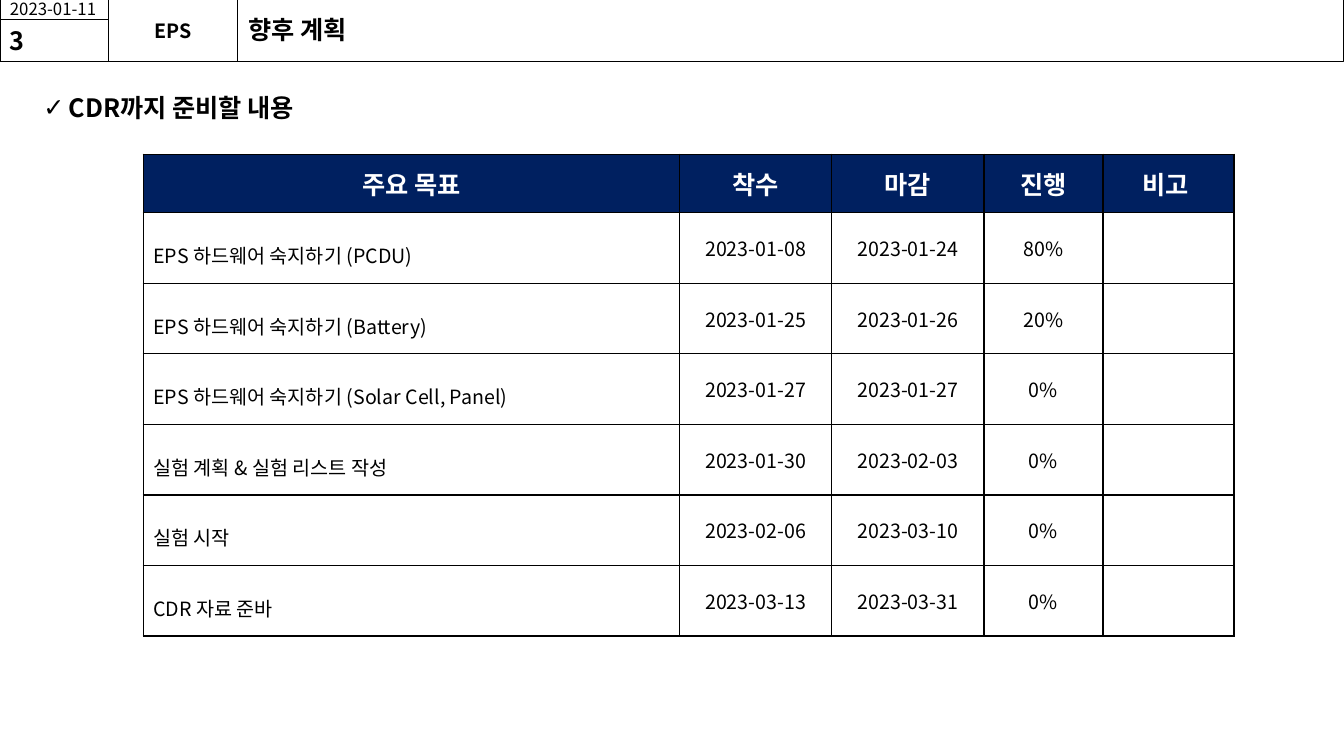
from dataclasses import dataclass
from typing import Optional

from lxml.etree import SubElement
from pptx import Presentation
from pptx.dml.color import RGBColor
from pptx.enum.shapes import MSO_SHAPE
from pptx.enum.text import MSO_ANCHOR, MSO_AUTO_SIZE, PP_ALIGN
from pptx.oxml.ns import qn
from pptx.util import Inches, Pt

FONT = "Noto Sans CJK KR"
BLACK = RGBColor(0x00, 0x00, 0x00)
WHITE = RGBColor(0xFF, 0xFF, 0xFF)
NAVY = RGBColor(0x00, 0x20, 0x60)


@dataclass
class HeaderBox:
    left: float
    top: float
    width: float
    height: float
    text: str = ""
    size: int = 18
    bold: bool = True
    centered: bool = False


@dataclass
class Goal:
    name: str
    start: str
    end: str
    progress: str
    remark: str = ""


HEADER_BOXES = [
    HeaderBox(2.36, -0.01, 10.97, 0.62),
    HeaderBox(0, -0.01, 1.08, 0.2, "2023-01-11", size=12, bold=False),
    HeaderBox(1.08, -0.01, 1.28, 0.62, "EPS", size=14, centered=True),
    HeaderBox(0, 0.19, 1.08, 0.42, "3"),
]
COLUMN_TITLES = ["주요 목표", "착수", "마감", "진행", "비고 "]
COLUMN_WIDTHS = [5.32, 1.51, 1.51, 1.18, 1.3]
HEAD_HEIGHT, ROW_HEIGHT = 0.58, 0.7
GOALS = [
    Goal("EPS 하드웨어 숙지하기 (PCDU)", "2023-01-08", "2023-01-24", "80%"),
    Goal("EPS 하드웨어 숙지하기 (Battery)", "2023-01-25", "2023-01-26", "20%"),
    Goal("EPS 하드웨어 숙지하기 (Solar Cell, Panel)", "2023-01-27", "2023-01-27", "0%"),
    Goal("실험 계획 & 실험 리스트 작성", "2023-01-30", "2023-02-03", "0%"),
    Goal("실험 시작", "2023-02-06", "2023-03-10", "0%"),
    Goal("CDR 자료 준바", "2023-03-13", "2023-03-31", "0%"),
]


def place(shape, left: float, top: float, width: float, height: float) -> None:
    shape.left, shape.top = Inches(left), Inches(top)
    shape.width, shape.height = Inches(width), Inches(height)


def write(text_frame, text: str, size: int, bold: bool = True,
          color: RGBColor = BLACK, align: PP_ALIGN = PP_ALIGN.LEFT,
          line_spacing: Optional[float] = None) -> None:
    """Set one formatted paragraph."""
    text_frame.text = text
    paragraph = text_frame.paragraphs[0]
    paragraph.alignment = align
    paragraph.space_before = Pt(0)
    if line_spacing:
        paragraph.line_spacing = line_spacing
    for run in paragraph.runs:
        run.font.size = Pt(size)
        run.font.bold = bold
        run.font.color.rgb = color
        run.font.name = FONT
        SubElement(run.font._element, qn("a:ea"), typeface=FONT)


def add_header_box(slide, box: HeaderBox) -> None:
    shape = slide.shapes.add_shape(
        MSO_SHAPE.RECTANGLE, Inches(box.left), Inches(box.top),
        Inches(box.width), Inches(box.height))
    shape.shadow.inherit = False
    shape.fill.background()
    shape.line.color.rgb = BLACK
    shape.line.width = Pt(0.75)
    if not box.text:
        return
    text_frame = shape.text_frame
    text_frame.vertical_anchor = MSO_ANCHOR.MIDDLE
    if box.centered:
        text_frame.margin_left = text_frame.margin_right = 0
        text_frame.margin_top = text_frame.margin_bottom = 0
    write(text_frame, box.text, box.size, box.bold,
          align=PP_ALIGN.CENTER if box.centered else PP_ALIGN.LEFT)


def format_cell(cell, fill: RGBColor) -> None:
    properties = cell._tc.get_or_add_tcPr()
    for side in ("L", "R", "T", "B"):
        border = SubElement(properties, qn(f"a:ln{side}"), w=str(Pt(1)))
        solid = SubElement(border, qn("a:solidFill"))
        SubElement(solid, qn("a:srgbClr"), val=str(BLACK))
    cell.fill.solid()
    cell.fill.fore_color.rgb = fill
    cell.vertical_anchor = MSO_ANCHOR.MIDDLE


def add_goal_table(slide) -> None:
    height = HEAD_HEIGHT + ROW_HEIGHT * len(GOALS)
    table = slide.shapes.add_table(
        len(GOALS) + 1, len(COLUMN_TITLES), Inches(1.42), Inches(1.53),
        Inches(sum(COLUMN_WIDTHS)), Inches(height)).table
    table.horz_banding = False
    for column, width in zip(table.columns, COLUMN_WIDTHS):
        column.width = Inches(width)
    for index, row in enumerate(table.rows):
        row.height = Inches(ROW_HEIGHT if index else HEAD_HEIGHT)

    for cell, title in zip(table.rows[0].cells, COLUMN_TITLES):
        format_cell(cell, NAVY)
        write(cell.text_frame, title, 18, color=WHITE, align=PP_ALIGN.CENTER)
    for index, goal in enumerate(GOALS, start=1):
        cells = list(table.rows[index].cells)
        for cell in cells:
            format_cell(cell, WHITE)
        write(cells[0].text_frame, goal.name, 14, False, line_spacing=1.5)
        for cell, text in zip(cells[1:], (goal.start, goal.end, goal.progress, goal.remark)):
            write(cell.text_frame, text, 14, False, align=PP_ALIGN.CENTER)


def main() -> None:
    presentation = Presentation()
    presentation.slide_width = Inches(13.33)
    presentation.slide_height = Inches(7.5)
    slide = presentation.slides.add_slide(presentation.slide_layouts[1])
    title, body = slide.placeholders

    # Title and bulleted heading
    place(title, 2.36, 0.09, 7.29, 0.4)
    place(body, 0.33, 0.9, 11.92, 6.09)
    for placeholder in (title, body):
        placeholder.text_frame.vertical_anchor = MSO_ANCHOR.TOP
        placeholder.text_frame.auto_size = MSO_AUTO_SIZE.NONE
    write(title.text_frame, "향후 계획", 18)
    write(body.text_frame, "CDR까지 준비할 내용", 18, line_spacing=0.9)
    bullet = body.text_frame.paragraphs[0]._p.get_or_add_pPr()
    bullet.set("marL", str(Inches(0.25)))
    bullet.set("indent", str(Inches(-0.25)))
    SubElement(bullet, qn("a:buChar"), char="✓")

    # Header strip
    for box in HEADER_BOXES:
        add_header_box(slide, box)

    # Schedule
    add_goal_table(slide)

    presentation.save("out.pptx")


if __name__ == "__main__":
    main()
